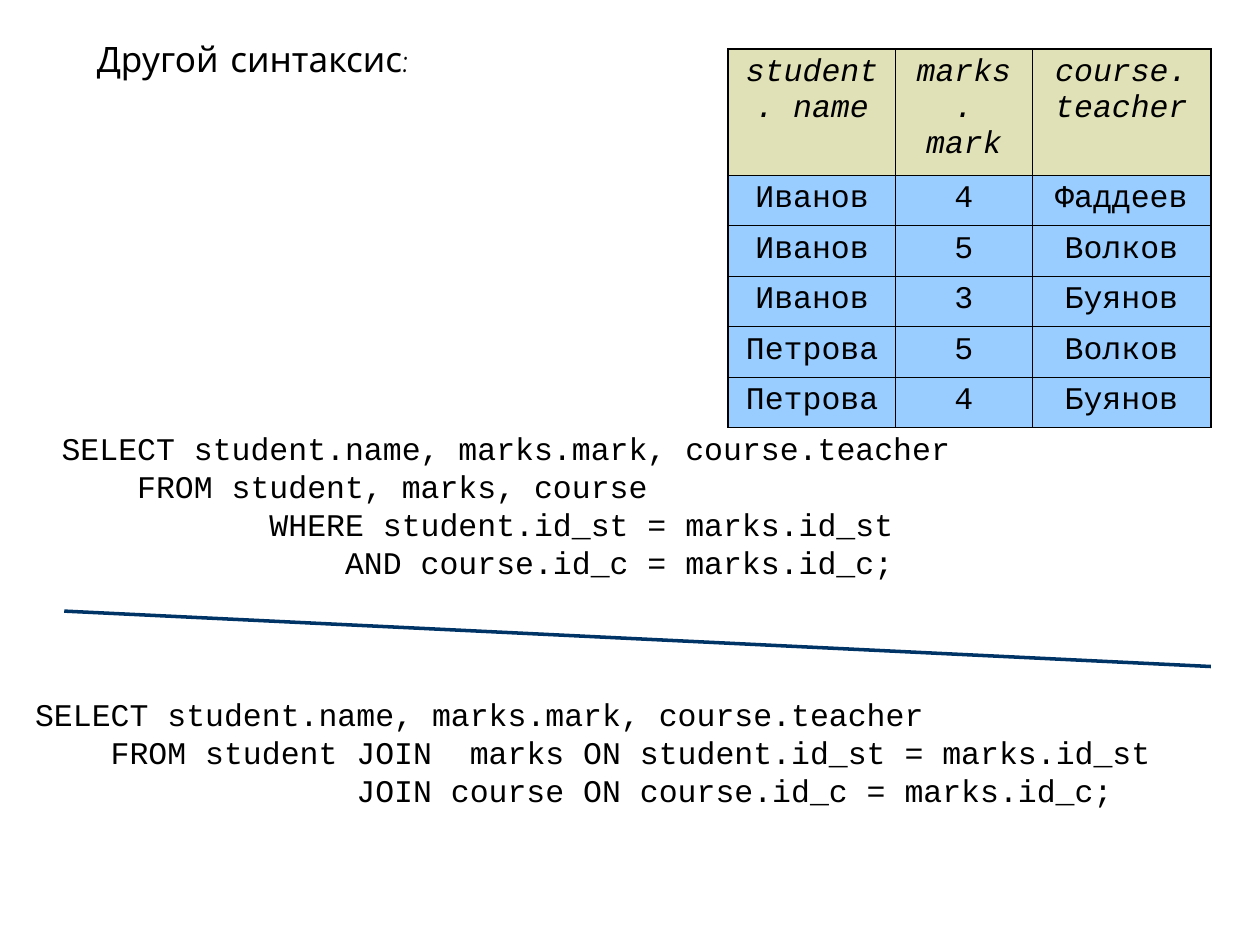
from lxml import etree
from pptx import Presentation
from pptx.dml.color import RGBColor
from pptx.enum.shapes import MSO_CONNECTOR
from pptx.enum.text import MSO_AUTO_SIZE, PP_ALIGN
from pptx.oxml.ns import qn
from pptx.util import Inches, Pt

COLORS = {"text": "000000", "border": "000000", "header": "E1E1B7",
          "body": "99CCFF", "rule": "003366"}
CODE_FONT = "Courier New"
TITLE_FONT = "Comic Neue"
CHAR_WIDTH = 0.15  # one Courier New character at 18 pt, in inches


class SlideBuilder:
    def __init__(self, slide):
        self.slide = slide

    def color(self, name):
        return RGBColor.from_string(COLORS[name])

    def run(self, p, text, font=CODE_FONT, size=18, italic=False):
        r = p.add_run()
        r.text = text
        r.font.name = font
        r.font.size = Pt(size)
        r.font.italic = italic
        r.font.color.rgb = self.color("text")

    def text(self, box, lines, wrap=True, **style):
        """Add a text box; each line is (indent in characters, text)."""
        tf = self.slide.shapes.add_textbox(*map(Inches, box)).text_frame
        tf.word_wrap = wrap
        tf.auto_size = MSO_AUTO_SIZE.SHAPE_TO_FIT_TEXT
        for i, (indent, line) in enumerate(lines):
            p = tf.add_paragraph() if i else tf.paragraphs[0]
            if indent:
                p._p.get_or_add_pPr().set("marL", str(Inches(indent * CHAR_WIDTH)))
            self.run(p, line, **style)

    def borders(self, cell, outer):
        tcPr = cell._tc.get_or_add_tcPr()
        for i, side in enumerate("LRTB"):
            width = Pt(1.08 if side in outer else 0.45)
            ln = etree.Element(qn(f"a:ln{side}"), w=str(width))
            fill = etree.SubElement(ln, qn("a:solidFill"))
            etree.SubElement(fill, qn("a:srgbClr"), val=COLORS["border"])
            tcPr.insert(i, ln)

    def table(self, box, rows, widths, heights):
        shape = self.slide.shapes.add_table(len(rows), len(widths), *map(Inches, box))
        table = shape.table
        for column, width in zip(table.columns, widths):
            column.width = Inches(width)
        for row, height in zip(table.rows, heights):
            row.height = Inches(height)
        for i, row in enumerate(rows):
            for j, text in enumerate(row):
                cell = table.cell(i, j)
                cell.fill.solid()
                cell.fill.fore_color.rgb = self.color("body" if i else "header")
                edges = {"L": j == 0, "R": j == len(row) - 1,
                         "T": i == 0, "B": i == len(rows) - 1}
                self.borders(cell, [side for side in edges if edges[side]])
                lines = text.split("\n")
                for k, line in enumerate(lines):
                    tf = cell.text_frame
                    p = tf.add_paragraph() if k else tf.paragraphs[0]
                    p.alignment = PP_ALIGN.CENTER
                    if len(lines) == 1:
                        p.space_before = Pt(4.5)
                    self.run(p, line, italic=i == 0)

    def line(self, start, end, color, width):
        cxn = self.slide.shapes.add_connector(
            MSO_CONNECTOR.STRAIGHT, *map(Inches, start + end))
        cxn.line.color.rgb = self.color(color)
        cxn.line.width = Pt(width)
        etree.SubElement(cxn._element.spPr, qn("a:effectLst"))


def main():
    prs = Presentation()
    prs.slide_width, prs.slide_height = Inches(10), Inches(7.5)
    s = SlideBuilder(prs.slides.add_slide(prs.slide_layouts[6]))

    # Query with conditions in WHERE
    s.text((0.39, 3.36, 8.55, 1.3), [
        (0, "SELECT student.name, marks.mark, course.teacher"),
        (4, "FROM student, marks, course"),
        (11, "WHERE student.id_st = marks.id_st"),
        (15, "AND course.id_c = marks.id_c;"),
    ])

    # Query result
    s.table((5.78, 0.39, 3.83, 3), [
        ("student. name", "marks.\nmark", "course.\nteacher"),
        ("Иванов", "4", "Фаддеев"),
        ("Иванов", "5", "Волков"),
        ("Иванов", "3", "Буянов"),
        ("Петрова", "5", "Волков"),
        ("Петрова", "4", "Буянов"),
    ], widths=(1.33, 1.08, 1.42), heights=[1] + [0.4] * 5)

    # Same query with JOIN
    s.text((0.18, 5.47, 9.08, 1), [
        (0, "SELECT student.name, marks.mark, course.teacher"),
        (4, "FROM student JOIN  marks ON student.id_st = marks.id_st"),
        (17, "JOIN course ON course.id_c = marks.id_c;"),
    ], wrap=False)

    # Divider and heading
    s.line((0.51, 4.85), (9.61, 5.29), "rule", 2)
    s.text((0.67, 0.25, 4.49, 0.44), [(0, "Другой синтаксис:")],
           font=TITLE_FONT, size=20)

    prs.save("out.pptx")


if __name__ == "__main__":
    main()
